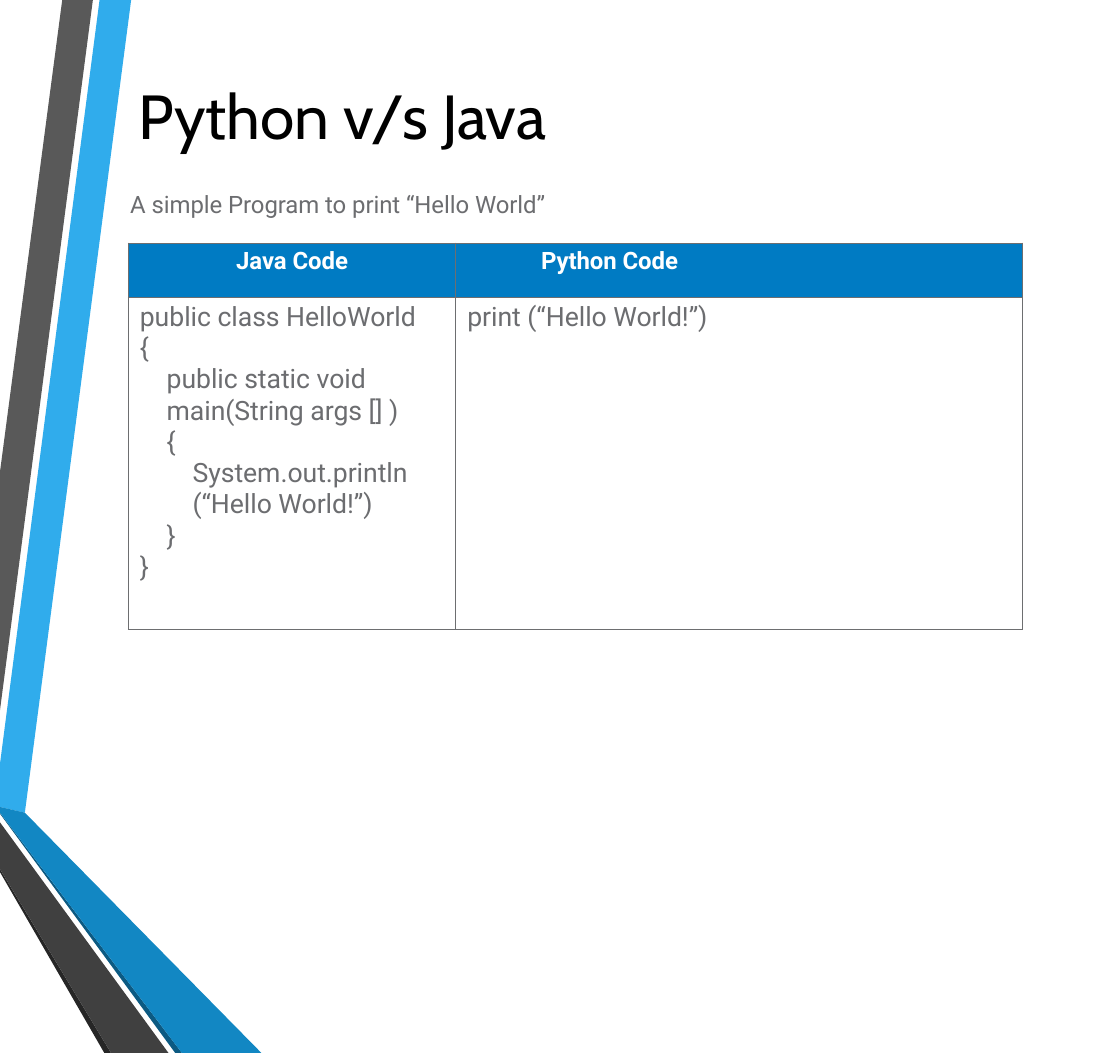
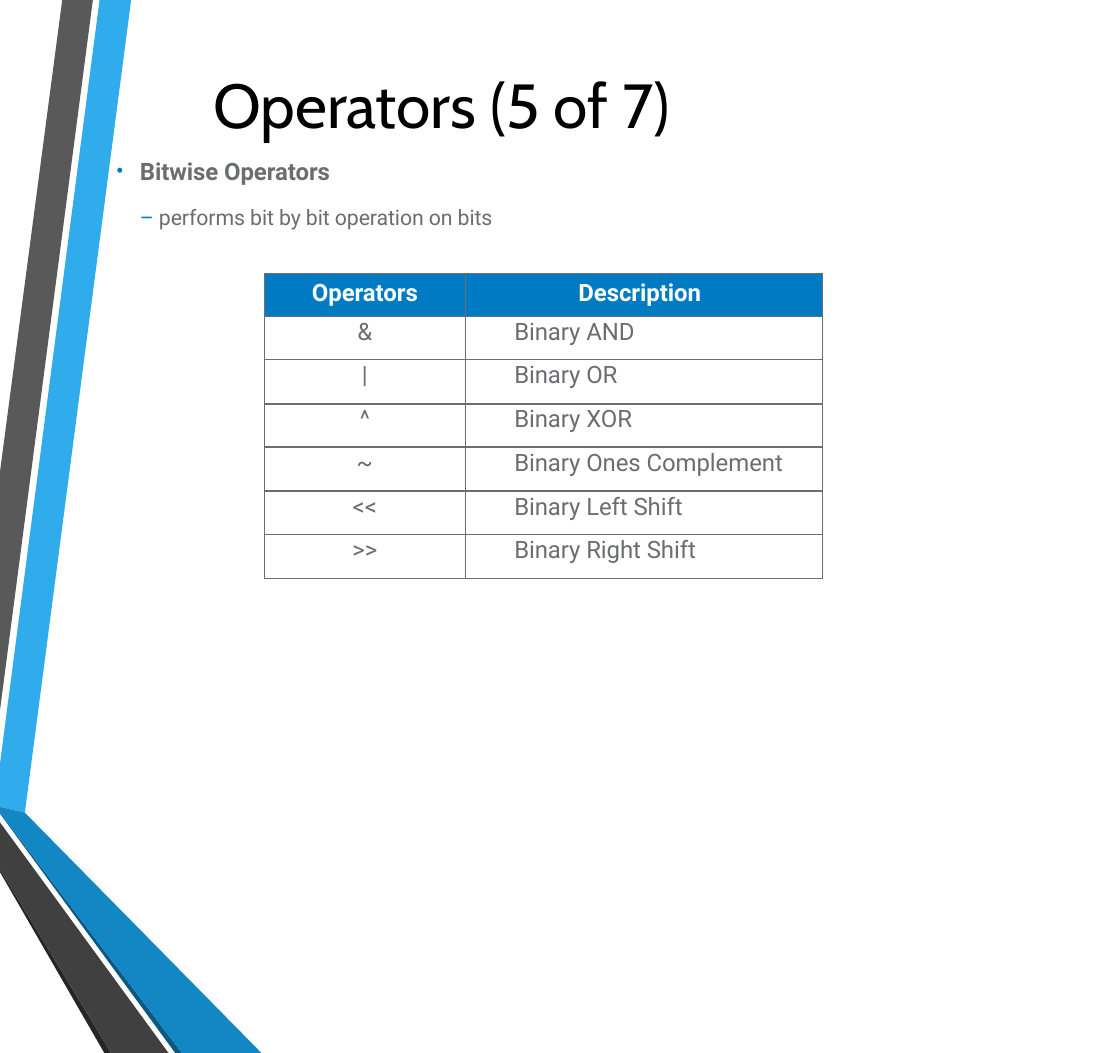
from dataclasses import dataclass

from lxml import etree
from pptx import Presentation
from pptx.dml.color import RGBColor
from pptx.enum.text import MSO_ANCHOR, PP_ALIGN
from pptx.oxml.ns import qn
from pptx.util import Pt

PX = 9144
LEFT, CENTER = PP_ALIGN.LEFT, PP_ALIGN.CENTER
TOP, MIDDLE = MSO_ANCHOR.TOP, MSO_ANCHOR.MIDDLE


@dataclass(frozen=True)
class Theme:
    title_font: str = "Cabin"
    body_font: str = "Roboto"
    title_color: str = "000000"
    text: str = "6C6D70"
    border: str = "6D6E70"
    accent: str = "007BC3"
    header_text: str = "FFFFFF"
    title_size: float = 46.8
    code_size: int = 20
    body_size: int = 18
    detail_size: int = 16
    tracking: str = "-5"


theme = Theme()

BANDS = [
    ("30ACEC", [(0, 798), (0, 843), (26, 849), (137, 0), (104, 0)]),
    ("595959", [(97, 0), (65, 0), (0, 493), (0, 742)]),
    ("262626", [(0, 908), (0, 911), (109, 1100), (116, 1100)]),
    ("0C5A82", [(0, 849), (0, 850), (183, 1100), (190, 1100)]),
    ("1287C3", [(0, 849), (190, 1100), (273, 1100), (26, 849), (0, 843)]),
    ("404040", [(0, 908), (116, 1100), (176, 1100), (0, 859)]),
]


def write(frame, runs, size, font=theme.body_font, bold=False, align=LEFT, indent=0, before=0):
    paragraph = frame.paragraphs[-1] if not frame.text else frame.add_paragraph()
    paragraph.alignment = align
    paragraph.space_before = Pt(before)
    paragraph._p.get_or_add_pPr().set("marL", str(indent * PX))
    for words, color in runs:
        run = paragraph.add_run()
        run.text = words
        run.font.name = font
        run.font.size = Pt(size)
        run.font.bold = bold
        run.font.color.rgb = RGBColor.from_string(color)
        run._r.get_or_add_rPr().set("spc", theme.tracking)
    return paragraph


def add_grid(slide, left, top, widths, heights, header_margin, body_margin):
    frame = slide.shapes.add_table(
        len(heights), len(widths), left * PX, top * PX, sum(widths) * PX, sum(heights) * PX
    )
    grid = frame.table
    for column, width in zip(grid.columns, widths):
        column.width = width * PX
    for index, height in enumerate(heights):
        grid.rows[index].height = height * PX
        for cell in grid.rows[index].cells:
            cell.margin_left = cell.margin_right = cell.margin_bottom = 0
            cell.margin_top = (body_margin if index else header_margin) * PX
            cell.vertical_anchor = TOP
            properties = cell._tc.get_or_add_tcPr()
            for side in ("lnL", "lnR", "lnT", "lnB"):
                line = etree.SubElement(properties, qn(f"a:{side}"), w=str(Pt(1)))
                paint = etree.SubElement(line, qn("a:solidFill"))
                etree.SubElement(paint, qn("a:srgbClr"), val=theme.border)
            if index:
                cell.fill.background()
            else:
                cell.fill.solid()
                cell.fill.fore_color.rgb = RGBColor.from_string(theme.accent)
    return grid


deck = Presentation()
deck.slide_width = Pt(842)
deck.slide_height = Pt(792)

slides = []
text_areas = []
for title, title_area, text_area in [
    ("Python v/s Java", (119, 83, 476, 72), (135, 197, 440, 33)),
    ("Operators (5 of 7)", (119, 68, 683, 80), (119, 163, 400, 79)),
]:
    slide = deck.slides.add_slide(deck.slide_layouts[6])
    for color, points in BANDS:
        outline = slide.shapes.build_freeform(*points[0], scale=PX)
        outline.add_line_segments(points[1:], close=True)
        band = outline.convert_to_shape()
        band.shadow.inherit = False
        band.fill.solid()
        band.fill.fore_color.rgb = RGBColor.from_string(color)
        band.line.fill.background()
    for area, anchor in ((title_area, MIDDLE), (text_area, TOP)):
        frame = slide.shapes.add_textbox(*(length * PX for length in area)).text_frame
        frame.word_wrap = True
        frame.vertical_anchor = anchor
        frame.margin_left = frame.margin_right = frame.margin_bottom = 0
        frame.margin_top = PX
        if anchor == MIDDLE:
            write(frame, [(title, theme.title_color)], theme.title_size, theme.title_font,
                  align=CENTER, indent=1, before=0.9)
    slides.append(slide)
    text_areas.append(frame)

comparison_slide, operators_slide = slides
comparison_text, operators_text = text_areas

write(comparison_text, [("A simple Program to print “Hello World”", theme.text)],
      theme.body_size, indent=1, before=1)

comparison = add_grid(comparison_slide, 134, 254, [342, 592], [57, 347], 4, 4)
for column, (heading, align, indent) in enumerate([("Java Code", CENTER, 0), ("Python Code", LEFT, 89)]):
    write(comparison.cell(0, column).text_frame, [(heading, theme.header_text)],
          theme.body_size, bold=True, align=align, indent=indent, before=3.1)

JAVA_LINES = [
    ("public class HelloWorld", 12),
    ("{", 12),
    ("public static void main(String args [] )", 40),
    ("{", 40),
    ("System.out.println (“Hello World!”)", 67),
    ("}", 40),
    ("}", 12),
]
PYTHON_LINES = [("print (“Hello World!”)", 12)]
for column, code in enumerate([JAVA_LINES, PYTHON_LINES]):
    for number, (statement, indent) in enumerate(code):
        write(comparison.cell(1, column).text_frame, [(statement, theme.text)],
              theme.code_size, indent=indent, before=0 if number else 3)

topic = write(operators_text, [("Bitwise Operators", theme.text)],
              theme.body_size, bold=True, indent=27, before=1)
bullet = topic._p.get_or_add_pPr()
bullet.set("indent", str(-25 * PX))
bullet_color = etree.SubElement(bullet, qn("a:buClr"))
etree.SubElement(bullet_color, qn("a:srgbClr"), val=theme.accent)
etree.SubElement(bullet, qn("a:buFont"), typeface=theme.body_font)
etree.SubElement(bullet, qn("a:buChar"), char="•")
write(operators_text, [("– ", theme.accent), ("performs bit by bit operation on bits", theme.text)],
      theme.detail_size, indent=27, before=14.1)

OPERATORS = [
    ("Operators", "Description"),
    ("&", "Binary AND"),
    ("|", "Binary OR"),
    ("^", "Binary XOR"),
    ("~", "Binary Ones Complement"),
    ("<<", "Binary Left Shift"),
    (">>", "Binary Right Shift"),
]
row_edges = [318 * row // len(OPERATORS) for row in range(len(OPERATORS) + 1)]
row_heights = [bottom - top for top, bottom in zip(row_edges, row_edges[1:])]
operators = add_grid(operators_slide, 276, 286, [210, 373], row_heights, 6, 2)
for row, (symbol, description) in enumerate(OPERATORS):
    color, indent, before = (theme.text, 51, 1.3) if row else (theme.header_text, 118, 4.5)
    write(operators.cell(row, 0).text_frame, [(symbol, color)], theme.body_size,
          bold=row == 0, align=CENTER, before=before)
    write(operators.cell(row, 1).text_frame, [(description, color)], theme.body_size,
          bold=row == 0, indent=indent, before=before)

deck.save("out.pptx")
